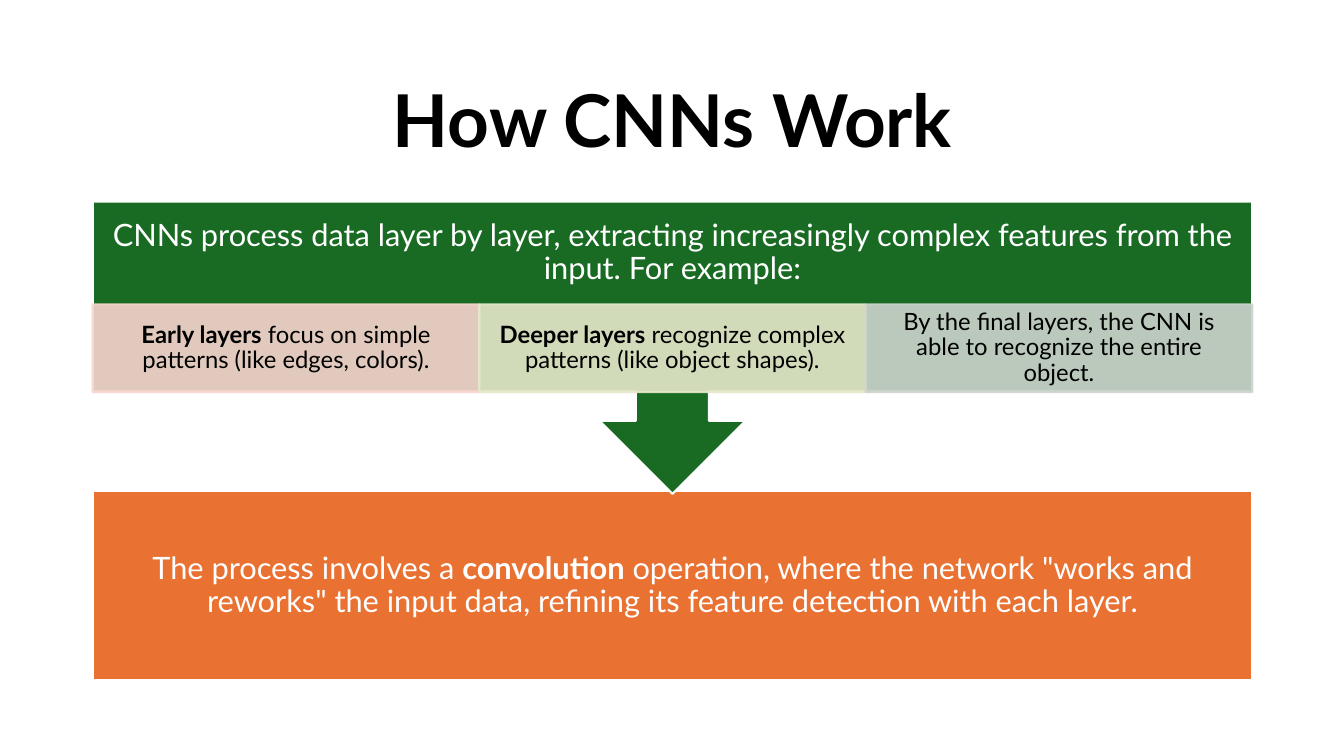
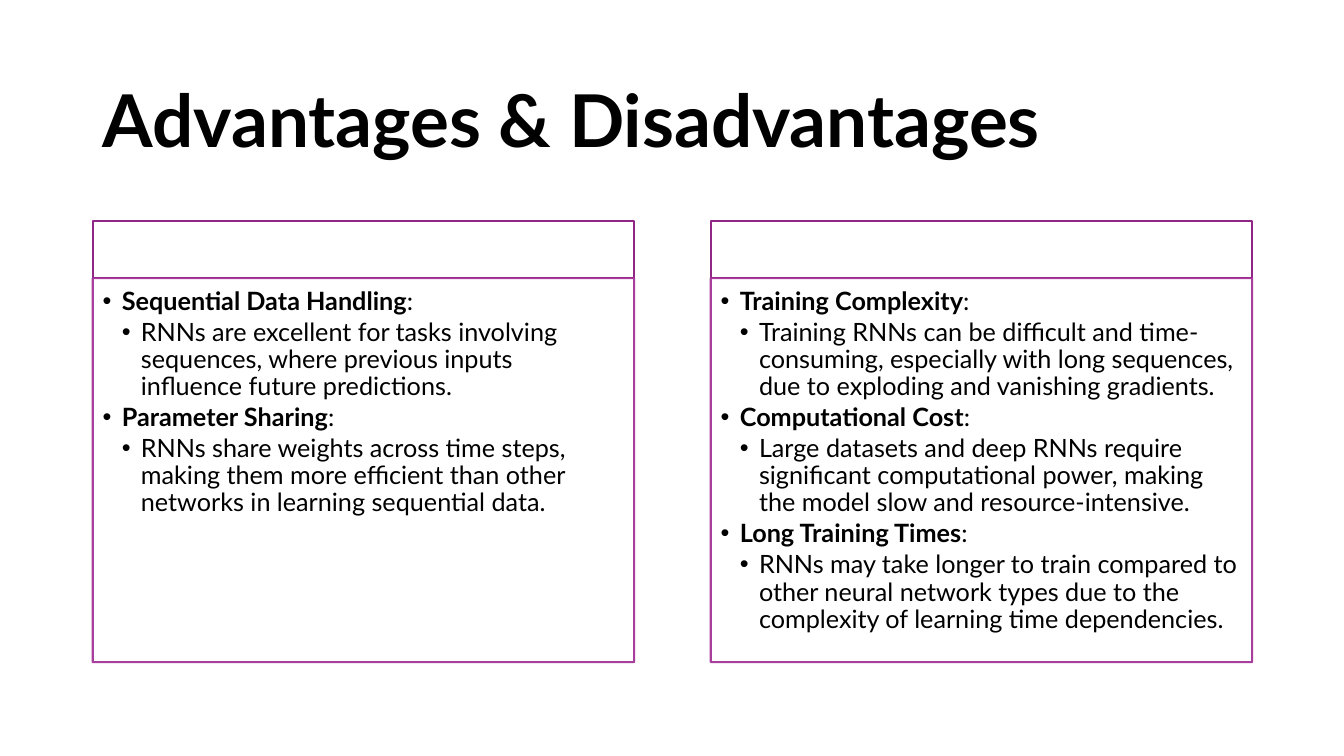
from pptx import Presentation
from pptx.dml.color import RGBColor
from pptx.enum.shapes import MSO_SHAPE
from pptx.enum.text import MSO_ANCHOR, PP_ALIGN
from pptx.oxml.ns import qn
from pptx.util import Inches, Pt
from lxml.etree import SubElement

FONT = "Lato"
BLACK, WHITE = "000000", "FFFFFF"
GREEN, ORANGE = "196B24", "E97132"
PLUM, DEEP = "A02B93", "912785"
LEFT, WIDE = 0.92, 11.5


def draw(slide, kind, at, fill, line, alpha=100):
    shape = slide.shapes.add_shape(kind, *map(Inches, at))
    shape.shadow.inherit = False
    shape.fill.solid()
    shape.fill.fore_color.rgb = RGBColor.from_string(fill)
    shape.line.color.rgb = RGBColor.from_string(line)
    shape.line.width = Pt(1.5)
    if alpha < 100:
        for tone in shape.element.spPr.iter(qn("a:srgbClr")):
            SubElement(tone, qn("a:alpha"), val=str(alpha * 1000))
    return shape


def write(shape, *lines, size, color=BLACK, align=PP_ALIGN.CENTER,
          anchor=MSO_ANCHOR.MIDDLE, pad=(0.1, 0.05, 0.1, 0.05), list_gap=None):
    frame = shape.text_frame
    frame.word_wrap = True
    frame.vertical_anchor = anchor
    (frame.margin_left, frame.margin_top,
     frame.margin_right, frame.margin_bottom) = map(Inches, pad)
    for i, line in enumerate(lines):
        para = frame.paragraphs[0] if i == 0 else frame.add_paragraph()
        para.alignment = align
        para.line_spacing = 0.9
        if list_gap is not None:
            para.level = i % 2
            para.space_after = Pt(list_gap)
            props = para._p.get_or_add_pPr()
            props.set("marL", str(Inches(0.19 * (para.level + 1))))
            props.set("indent", str(Inches(-0.19)))
            SubElement(props, qn("a:buFont"), typeface="Arial")
            SubElement(props, qn("a:buChar"), char="•")
        for j, part in enumerate(line.split("*")):
            if part:
                run = para.add_run()
                run.text = part
                run.font.name = FONT
                run.font.size = Pt(size)
                run.font.bold = j % 2 == 1
                run.font.color.rgb = RGBColor.from_string(color)


deck = Presentation()
deck.slide_width, deck.slide_height = Inches(13.33), Inches(7.5)
pages = []
for title, align in [("How CNNs Work", PP_ALIGN.CENTER),
                     ("Advantages & Disadvantages", PP_ALIGN.LEFT)]:
    page = deck.slides.add_slide(deck.slide_layouts[6])
    head = page.shapes.add_textbox(*map(Inches, (LEFT, 0.61, WIDE, 1.24)))
    write(head, f"*{title}*", size=52, align=align)
    pages.append(page)
work, pros = pages

base = draw(work, MSO_SHAPE.RECTANGLE, (LEFT, 4.87, WIDE, 1.88), ORANGE, WHITE)
write(base, "The process involves a *convolution* operation, where the network "
      '"works and reworks" the input data, refining its feature detection '
      "with each layer.", size=22, color=WHITE, pad=(0.17,) * 4)

call = draw(work, MSO_SHAPE.DOWN_ARROW_CALLOUT, (LEFT, 2, WIDE, 2.9), GREEN, WHITE)
write(call, "CNNs process data layer by layer, extracting increasingly complex "
      "features from the input. For example:",
      size=22, color=WHITE, pad=(0.17, 0.17, 0.17, 1.03))

cells = [
    ("F7D5CE", "*Early layers* focus on simple patterns (like edges, colors)."),
    ("E5E8CA", "*Deeper layers* recognize complex patterns (like object shapes)."),
    ("CCD4CD", "By the final layers, the CNN is able to recognize the entire object."),
]
step = WIDE / len(cells)
for i, (tint, text) in enumerate(cells):
    cell = draw(work, MSO_SHAPE.RECTANGLE, (LEFT + i * step, 3.02, step, 0.87),
                tint, tint, alpha=90)
    write(cell, text, size=17, pad=(0.13, 0.02, 0.13, 0.02))

lists = [
    ["*Sequential Data Handling*:",
     "RNNs are excellent for tasks involving sequences, where previous inputs "
     "influence future predictions.",
     "*Parameter Sharing*:",
     "RNNs share weights across time steps, making them more efficient than "
     "other networks in learning sequential data."],
    ["*Training Complexity*:",
     "Training RNNs can be difficult and time-consuming, especially with long "
     "sequences, due to exploding and vanishing gradients.",
     "*Computational Cost*:",
     "Large datasets and deep RNNs require significant computational power, "
     "making the model slow and resource-intensive.",
     "*Long Training Times*:",
     "RNNs may take longer to train compared to other neural network types due "
     "to the complexity of learning time dependencies."],
]
span = 5.37
for i, lines in enumerate(lists):
    x = LEFT + i * (WIDE - span)
    draw(pros, MSO_SHAPE.RECTANGLE, (x, 2.19, span, 0.57), WHITE, DEEP)
    body = draw(pros, MSO_SHAPE.RECTANGLE, (x, 2.76, span, 3.81), WHITE, PLUM, alpha=90)
    write(body, *lines, size=18, align=PP_ALIGN.LEFT, anchor=MSO_ANCHOR.TOP,
          pad=(0.1, 0.1, 0.14, 0.16), list_gap=2.7)

deck.save("out.pptx")
